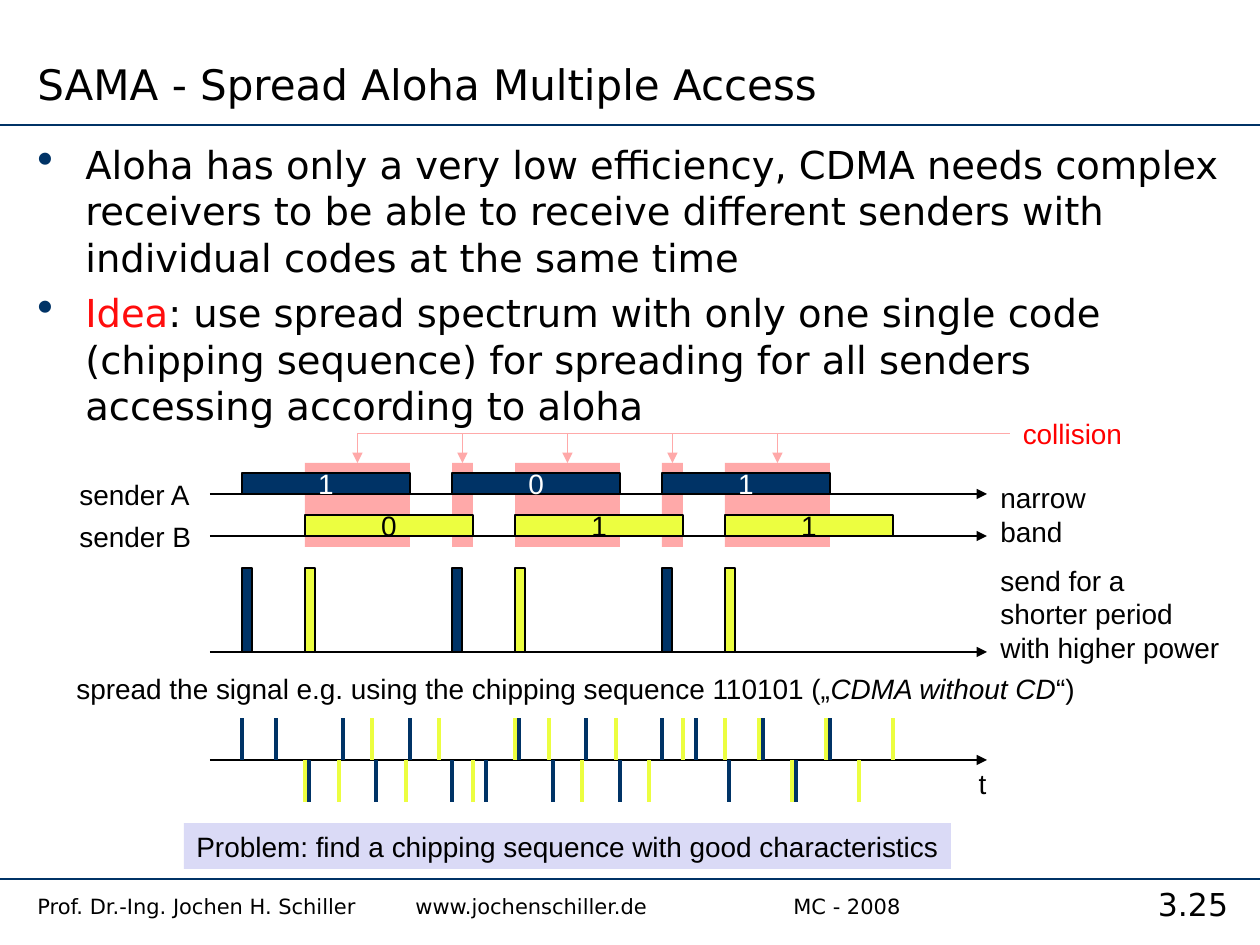
from dataclasses import dataclass

from lxml.etree import SubElement
from pptx import Presentation
from pptx.dml.color import RGBColor
from pptx.enum.shapes import MSO_CONNECTOR as Link, MSO_SHAPE as Shape
from pptx.enum.text import MSO_ANCHOR as Anchor, PP_ALIGN as Align
from pptx.oxml.ns import qn
from pptx.util import Emu, Pt


@dataclass(frozen=True)
class Theme:
    navy: str = "003366"
    lime: str = "ECFE40"
    pink: str = "FFA9A9"
    pale: str = "DADAF6"
    black: str = "000000"
    white: str = "FFFFFF"
    red: str = "FF0000"
    idea: str = "FF0D0D"
    sans: str = "DejaVu Sans"
    arial: str = "Arial"
    title: int = 24
    body: int = 22
    page: int = 18
    label: int = 16
    foot: int = 12


T = Theme()
DPI = 126
WIDE, HIGH = 10 * DPI, 945

# Time axis: each sender sends one bit per period
PERIOD, BIT = 210, 168
SEND_A, SEND_B = 242, 305
BITS_A, BITS_B = "101", "011"
CODE = "110101"
AXIS_A, AXIS_B, AXIS_SHORT, AXIS_CHIP = 494, 536, 652, 760
AXIS_L, AXIS_R = 210, 987
BAR, PULSE_W, PULSE_H, CHIP = 21, 10, 84, 42


def px(n):
    return Emu(round(n * 914400 / DPI))


def rgb(code):
    return RGBColor.from_string(code)


def write(para, text, size=T.label, font=T.arial, color=T.black, italic=False):
    """Add runs to a paragraph; a newline becomes a line break."""
    for i, part in enumerate(text.split("\n")):
        if i:
            para.add_line_break()
        run = para.add_run()
        run.text = part
        run.font.size, run.font.name = Pt(size), font
        run.font.italic = italic
        run.font.color.rgb = rgb(color)


def label(shapes, x, y, w, h, *lines, align=Align.LEFT, anchor=Anchor.MIDDLE,
          wrap=False, **style):
    box = shapes.add_textbox(px(x), px(y), px(w), px(h))
    frame = box.text_frame
    frame.word_wrap, frame.vertical_anchor = wrap, anchor
    for i, text in enumerate(lines):
        para = frame.add_paragraph() if i else frame.paragraphs[0]
        para.alignment = align
        write(para, text, **style)
    return box


def block(shapes, x, y, w, h, fill, edge=None, text="", color=T.black):
    box = shapes.add_shape(Shape.RECTANGLE, px(x), px(y), px(w), px(h))
    box.shadow.inherit = False
    box.fill.solid()
    box.fill.fore_color.rgb = rgb(fill)
    if edge:
        box.line.color.rgb = rgb(edge)
        box.line.width = Pt(0.75)
    else:
        box.line.fill.background()
    if text:
        frame = box.text_frame
        frame.word_wrap, frame.vertical_anchor = False, Anchor.MIDDLE
        para = frame.paragraphs[0]
        para.alignment = Align.CENTER
        write(para, text, color=color)
    return box


def line(shapes, x1, y1, x2, y2, color, width=0.75, arrow=False,
         kind=Link.STRAIGHT):
    link = shapes.add_connector(kind, px(x1), px(y1), px(x2), px(y2))
    link.line.color.rgb = rgb(color)
    link.line.width = Pt(width)
    if arrow:
        SubElement(link.line._get_or_add_ln(), qn("a:tailEnd"), type="triangle")
    SubElement(link._element.spPr, qn("a:effectLst"))
    return link


def bend(shapes, label_box, zone):
    """Draw a one-corner arrow from a label's left side to a zone's top."""
    link = line(shapes, 0, 0, 1, 1, T.pink, arrow=True, kind=Link.ELBOW)
    link.begin_connect(label_box, 1)
    link.end_connect(zone, 0)
    link._element.spPr.find(qn("a:prstGeom")).set("prst", "bentConnector2")


def bullet(para):
    props = para._p.get_or_add_pPr()
    props.set("marL", str(px(48)))
    props.set("indent", str(-px(48)))
    tint = SubElement(props, qn("a:buClr"))
    SubElement(tint, qn("a:srgbClr"), val=T.navy)
    SubElement(props, qn("a:buSzPct"), val="120000")
    SubElement(props, qn("a:buChar"), char="•")


def frame_slide(shapes):
    for y in (125, 879):
        line(shapes, 0, y, WIDE, y, T.navy, 1)
    label(shapes, 1126, 879, 134, 55, "3.25", align=Align.CENTER,
          anchor=Anchor.TOP, wrap=True, size=T.page, font=T.sans)
    foot = label(shapes, 25, 887, 1101, 42,
                 "Prof. Dr.-Ing. Jochen H. Schiller\twww.jochenschiller.de\t\tMC - 2008",
                 anchor=Anchor.TOP, wrap=True, size=T.foot, font=T.sans)
    tabs = SubElement(foot.text_frame.paragraphs[0]._p.get_or_add_pPr(),
                      qn("a:tabLst"))
    for inch in range(1, 8):
        SubElement(tabs, qn("a:tab"), pos=str(px(inch * DPI)), algn="l")
    label(shapes, 25, 0, 833, 115, "SAMA - Spread Aloha Multiple Access",
          anchor=Anchor.BOTTOM, wrap=True, size=T.title, font=T.sans)


def points(shapes):
    style = dict(size=T.body, font=T.sans)
    box = label(shapes, 25, 135, 1211, 737,
                "Aloha has only a very low efficiency, CDMA needs complex "
                "receivers to be able to receive different senders with "
                "individual codes at the same time",
                anchor=Anchor.TOP, wrap=True, **style)
    idea = box.text_frame.add_paragraph()
    idea.space_before = Pt(5.5)
    write(idea, "Idea", color=T.idea, **style)
    write(idea, ": use spread spectrum with only one single code (chipping "
                "sequence) for spreading for all senders accessing according "
                "to aloha", **style)
    for para in box.text_frame.paragraphs:
        bullet(para)


def clashes(shapes):
    """Mark every span in which both senders are active."""
    zones = []
    for a in range(len(BITS_A)):
        for b in range(len(BITS_B)):
            x1, x2 = SEND_A + a * PERIOD, SEND_B + b * PERIOD
            left, right = max(x1, x2), min(x1, x2) + BIT
            if left < right:
                zones.append(block(shapes, left, 463, right - left, 84, T.pink))
    return zones


def chips(shapes, x, bit, color):
    """Spread one bit: the code for 1, the inverted code for 0."""
    group = shapes.add_group_shape().shapes
    for i, chip in enumerate(CODE):
        at = x + BIT * i / (len(CODE) - 1)
        end = AXIS_CHIP + (-CHIP if chip == bit else CHIP) if bit == "1" else \
            AXIS_CHIP + (CHIP if chip == "1" else -CHIP)
        line(group, at, AXIS_CHIP, at, end, color, 2.25)


def signals(shapes):
    for y in (AXIS_A, AXIS_B, AXIS_SHORT, AXIS_CHIP):
        line(shapes, AXIS_L, y, AXIS_R, y, T.black, arrow=True)
    for start, bits, axis, fill, ink in (
            (SEND_A, BITS_A, AXIS_A, T.navy, T.white),
            (SEND_B, BITS_B, AXIS_B, T.lime, T.black)):
        for i, bit in enumerate(bits):
            x = start + i * PERIOD
            block(shapes, x, axis - BAR, BIT, BAR, fill, T.black, bit, ink)
            block(shapes, x, AXIS_SHORT - PULSE_H, PULSE_W, PULSE_H, fill, T.black)
            chips(shapes, x, bit, fill)


def notes(shapes):
    label(shapes, 67, 471, 137, 47, "sender A")
    label(shapes, 67, 513, 137, 47, "sender B")
    label(shapes, 988, 474, 111, 81, "narrow\nband")
    label(shapes, 988, 557, 244, 113, "send for a", "shorter period",
          "with higher power")
    spread = label(shapes, 64, 665, 1027, 47,
                   "spread the signal e.g. using the chipping sequence 110101 („")
    para = spread.text_frame.paragraphs[0]
    write(para, "CDMA without CD", italic=True)
    write(para, "“)")
    label(shapes, 966, 760, 33, 47, "t", align=Align.CENTER)
    block(shapes, 184, 823, 767, 46, T.pale,
          text="Problem: find a chipping sequence with good characteristics")


def main():
    deck = Presentation()
    deck.slide_width, deck.slide_height = px(WIDE), px(HIGH)
    shapes = deck.slides.add_slide(deck.slide_layouts[6]).shapes
    frame_slide(shapes)
    points(shapes)
    zones = clashes(shapes)
    signals(shapes)
    notes(shapes)
    clash = label(shapes, 1010, 410, 125, 47, "collision",
                  align=Align.CENTER, color=T.red)
    for zone in zones:
        bend(shapes, clash, zone)
    deck.save("out.pptx")


if __name__ == "__main__":
    main()
